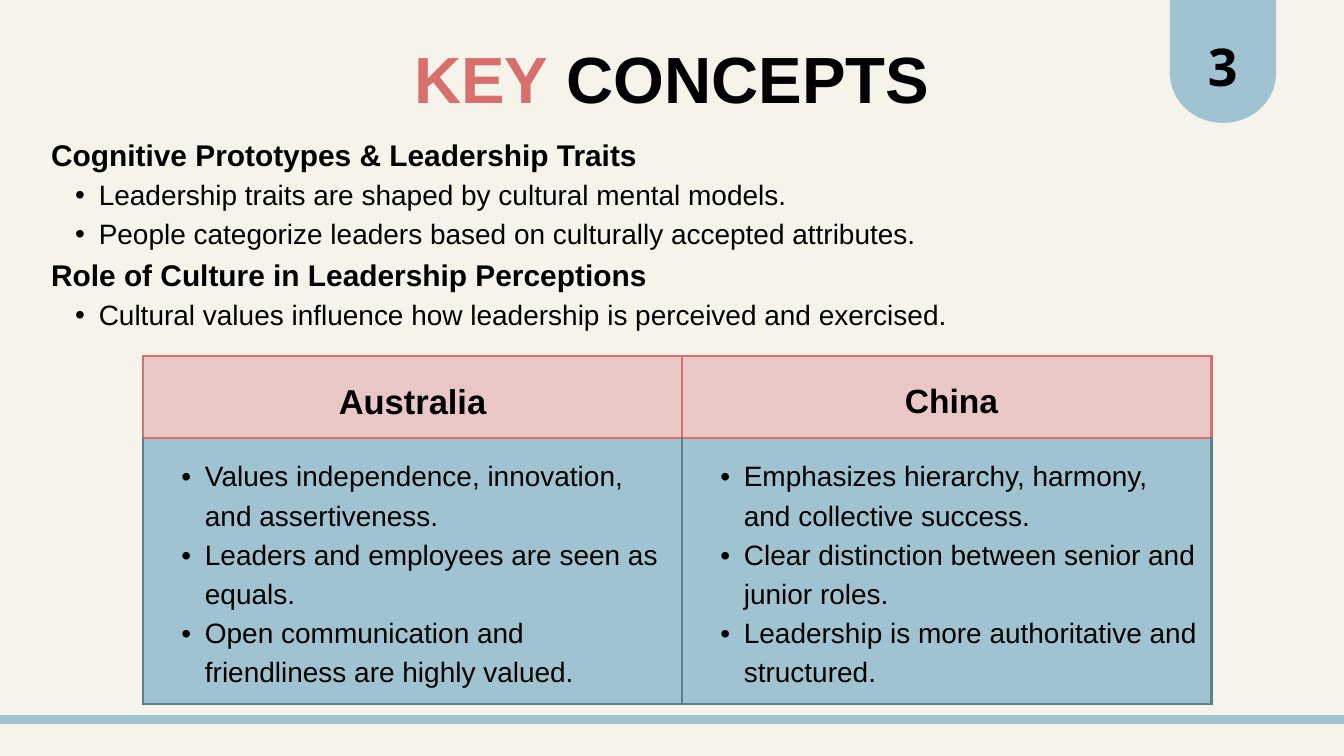
from dataclasses import dataclass
from math import cos, pi, sin

from lxml.etree import SubElement
from pptx import Presentation
from pptx.dml.color import RGBColor
from pptx.enum.shapes import MSO_CONNECTOR
from pptx.enum.text import MSO_ANCHOR as Anchor, PP_ALIGN as Align
from pptx.oxml import parse_xml
from pptx.oxml.ns import nsdecls, qn
from pptx.util import Inches, Pt


@dataclass(frozen=True)
class Theme:
    font: str = "Arial"
    number_font: str = "Open Sans"
    cream: str = "F6F3EB"
    black: str = "000000"
    coral: str = "D86F6D"
    pink: str = "E9C7C6"
    blue: str = "9FC3D0"
    slate: str = "5C808D"
    title: float = 70
    number: float = 55.8
    heading: float = 32
    body: float = 30
    line_spacing: float = 1.4


theme = Theme()


def write(frame, lines, bold=False, align=None, font=theme.font):
    """Fill a text frame from (text, size, bulleted) lines."""
    frame.word_wrap = True
    for index, (text, size, bulleted) in enumerate(lines):
        paragraph = frame.paragraphs[0] if index == 0 else frame.add_paragraph()
        paragraph.text = text
        paragraph.alignment = align
        paragraph.line_spacing = Pt(round(size * theme.line_spacing, 1))
        if bulleted:
            paragraph.level = 1
            properties = paragraph._p.get_or_add_pPr()
            properties.set("marL", str(Inches(0.71)))
            properties.set("indent", str(Inches(-0.35)))
            SubElement(properties, qn("a:buFont"), typeface="Arial")
            SubElement(properties, qn("a:buChar"), char="•")
        paragraph.font.name = font
        paragraph.font.size = Pt(size)
        paragraph.font.bold = bold or not bulleted
        paragraph.font.color.rgb = RGBColor.from_string(theme.black)


def add_text(left, top, width, height, lines, **style):
    """Add a text box without margins."""
    box = slide.shapes.add_textbox(
        Inches(left), Inches(top), Inches(width), Inches(height))
    frame = box.text_frame
    frame.margin_left = frame.margin_right = 0
    frame.margin_top = frame.margin_bottom = 0
    write(frame, lines, **style)
    return frame


presentation = Presentation()
presentation.slide_width = Inches(20)
presentation.slide_height = Inches(11.25)
slide = presentation.slides.add_slide(presentation.slide_layouts[6])
slide.background.fill.solid()
slide.background.fill.fore_color.rgb = RGBColor.from_string(theme.cream)

# Key concepts
add_text(0.76, 1.94, 18.29, 3.03, [
    ("Cognitive Prototypes & Leadership Traits", theme.heading, False),
    ("Leadership traits are shaped by cultural mental models.", theme.body, True),
    ("People categorize leaders based on culturally accepted attributes.",
     theme.body, True),
    ("Role of Culture in Leadership Perceptions", theme.heading, False),
    ("Cultural values influence how leadership is perceived and exercised.",
     theme.body, True),
])

# Footer rule
rule = slide.shapes.add_connector(
    MSO_CONNECTOR.STRAIGHT, 0, Inches(10.71), Inches(20), Inches(10.71))
rule.line.color.rgb = RGBColor.from_string(theme.blue)
rule.line.width = Pt(9)
SubElement(rule._element.spPr, qn("a:effectLst"))

# Title in two colours
title = add_text(2.79, 0.38, 14.41, 1.45, [("", theme.title, False)],
                 align=Align.CENTER).paragraphs[0]
for word, color in (("KEY", theme.coral), (" CONCEPTS", theme.black)):
    run = title.add_run()
    run.text = word
    run.font.color.rgb = RGBColor.from_string(color)

# Page number tab with a rounded bottom
tab_left, tab_width, side_height, tab_height = 17.41, 1.58, 1.09, 1.83
radius = tab_width / 2
steps = 48
arc = [(Inches(tab_left + radius + radius * cos(pi * step / steps)),
        Inches(side_height + (tab_height - side_height) * sin(pi * step / steps)))
       for step in range(steps + 1)]
builder = slide.shapes.build_freeform(Inches(tab_left), 0)
builder.add_line_segments([(Inches(tab_left + tab_width), 0), *arc], close=True)
tab = builder.convert_to_shape()
tab.shadow.inherit = False
tab.fill.solid()
tab.fill.fore_color.rgb = RGBColor.from_string(theme.blue)
tab.line.fill.background()
add_text(17.34, 0.36, 1.71, 1.02, [("3", theme.number, False)],
         align=Align.CENTER, font=theme.number_font)

# Country comparison
countries = [
    ("Australia", 37, 8.02, [
        "Values independence, innovation, and assertiveness.",
        "Leaders and employees are seen as equals.",
        "Open communication and friendliness are highly valued."]),
    (" China", 36, 7.88, [
        "Emphasizes hierarchy, harmony, and collective success.",
        "Clear distinction between senior and junior roles.",
        "Leadership is more authoritative and structured."]),
]
table = slide.shapes.add_table(
    2, 2, Inches(2.13), Inches(5.3), Inches(15.9), Inches(5.18)).table
table.rows[0].height = Inches(1.22)
table.rows[1].height = Inches(3.96)
for column, (country, size, width, points) in enumerate(countries):
    table.columns[column].width = Inches(width)
    header, details = table.cell(0, column), table.cell(1, column)
    write(header.text_frame, [(country, size, False)], align=Align.CENTER)
    write(details.text_frame, [(point, theme.body, True) for point in points])

    for cell, fill, border in ((header, theme.pink, theme.coral),
                               (details, theme.blue, theme.slate)):
        cell.vertical_anchor = Anchor.MIDDLE
        cell.margin_left = cell.margin_right = Inches(0.21)
        cell.margin_top = cell.margin_bottom = Inches(0.21)
        cell.fill.solid()
        cell.fill.fore_color.rgb = RGBColor.from_string(fill)
        properties = cell._tc.get_or_add_tcPr()
        for position, side in enumerate(("lnL", "lnR", "lnT", "lnB")):
            color = theme.coral if side == "lnT" else border
            properties.insert(position, parse_xml(
                f'<a:{side} {nsdecls("a")} w="{Pt(3)}"><a:solidFill>'
                f'<a:srgbClr val="{color}"/></a:solidFill></a:{side}>'))

presentation.save("out.pptx")
